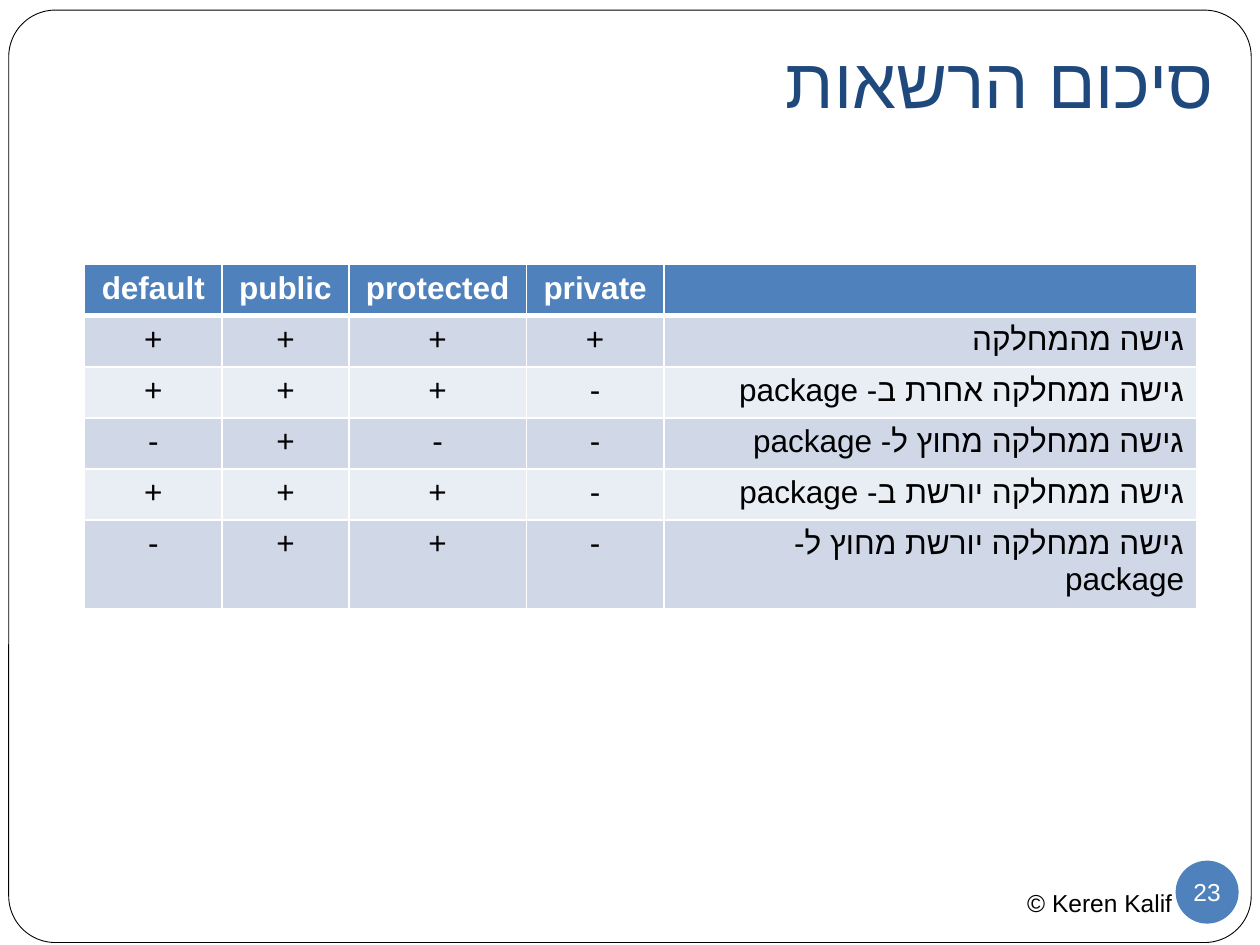
from lxml import etree
from pptx import Presentation
from pptx import util as u
from pptx.dml.color import RGBColor
from pptx.enum import shapes, text
from pptx.oxml.ns import qn

Pt = u.Pt
FONT = "Arial"
COLORS = {
    "white": "FFFFFF",
    "black": "000000",
    "title": "1F497D",
    "accent": "4F81BD",
    "odd_row": "D0D8E8",
    "even_row": "E9EDF4",
}
HEADER = ["default", "public", "protected", "private", ""]
ACCESS_ROWS = [
    ["+", "+", "+", "+", "גישה מהמחלקה"],
    ["+", "+", "+", "-", "גישה ממחלקה אחרת ב- package"],
    ["-", "+", "-", "-", "גישה ממחלקה מחוץ ל- package"],
    ["+", "+", "+", "-", "גישה ממחלקה יורשת ב- package"],
    ["-", "+", "+", "-", "גישה ממחלקה יורשת מחוץ ל- package"],
]
COLUMN_WIDTHS = [78.5, 72.5, 101.5, 78.5, 304.5]
ROW_HEIGHT = 29.2


def color(name):
    return RGBColor.from_string(COLORS[name])


def set_attributes(target, values):
    for name, value in values.items():
        setattr(target, name, value)


def write(frame, content, size, color_name, align, bold=False, rtl=True):
    paragraph = frame.paragraphs[0]
    paragraph.alignment = align
    if rtl:
        paragraph._p.get_or_add_pPr().set("rtl", "1")
    if not content:
        return
    run = paragraph.add_run()
    run.text = content
    set_attributes(run.font, {"name": FONT, "size": Pt(size), "bold": bold})
    run.font.color.rgb = color(color_name)
    complex_font = etree.SubElement(run._r.get_or_add_rPr(), qn("a:cs"))
    complex_font.set("typeface", FONT)


def add_filled_shape(slide, kind, box, fill, line=None):
    shape = slide.shapes.add_shape(kind, *map(Pt, box))
    shape.shadow.inherit = False
    shape.fill.solid()
    shape.fill.fore_color.rgb = color(fill)
    if line:
        shape.line.color.rgb = color(line)
        shape.line.width = Pt(0.5)
    else:
        shape.line.fill.background()
    return shape


def add_frame(slide):
    """Rounded page border, placed behind everything else."""
    frame = add_filled_shape(slide, shapes.MSO_SHAPE.ROUNDED_RECTANGLE,
                             (5, 5.8, 710, 532.8), "white", "black")
    frame.adjustments[0] = 0.05
    slide.shapes._spTree.insert(2, frame._element)


def add_title(slide, content):
    title = slide.shapes.title
    set_attributes(title, {"left": Pt(14.4), "top": Pt(21.6),
                           "width": Pt(686.2), "height": Pt(55.4)})
    set_attributes(title.text_frame, {
        "vertical_anchor": text.MSO_ANCHOR.BOTTOM, "word_wrap": True,
        "auto_size": text.MSO_AUTO_SIZE.NONE,
        "margin_left": Pt(7.2), "margin_right": Pt(7.2),
        "margin_top": Pt(3.6), "margin_bottom": Pt(7.2)})
    write(title.text_frame, content, 40, "title", text.PP_ALIGN.RIGHT)


def add_author(slide, content):
    box = slide.shapes.add_textbox(Pt(576), Pt(504), Pt(102.2), Pt(24.5))
    box.text_frame.word_wrap = False
    write(box.text_frame, content, 14, "black", text.PP_ALIGN.LEFT, rtl=False)


def set_borders(cell, widths):
    """Draw white borders; widths maps lnL, lnR, lnT, lnB to points."""
    properties = cell._tc.get_or_add_tcPr()
    for position, (side, width) in enumerate(widths.items()):
        line = etree.Element(qn(f"a:{side}"), w=str(Pt(width)))
        fill = etree.SubElement(line, qn("a:solidFill"))
        etree.SubElement(fill, qn("a:srgbClr"), val=COLORS["white"])
        properties.insert(position, line)


def add_access_table(slide):
    rows = [HEADER] + ACCESS_ROWS
    table = slide.shapes.add_table(
        len(rows), len(HEADER), Pt(48.4), Pt(151.2),
        Pt(sum(COLUMN_WIDTHS)), Pt(ROW_HEIGHT * len(rows))).table
    for column, width in zip(table.columns, COLUMN_WIDTHS):
        column.width = Pt(width)
    for index, values in enumerate(rows):
        table.rows[index].height = Pt(ROW_HEIGHT)
        header = index == 0
        fill = "accent" if header else "odd_row" if index % 2 else "even_row"
        for column, content in enumerate(values):
            cell = table.cell(index, column)
            cell.fill.solid()
            cell.fill.fore_color.rgb = color(fill)
            set_borders(cell, {"lnL": 1, "lnR": 1,
                               "lnT": 3 if index == 1 else 1,
                               "lnB": 3 if header else 1})
            last = column == len(HEADER) - 1
            align = text.PP_ALIGN.RIGHT if last else text.PP_ALIGN.CENTER
            write(cell.text_frame, content, 18,
                  "white" if header else "black", align, bold=header)


def add_page_number(slide, number):
    badge = add_filled_shape(slide, shapes.MSO_SHAPE.OVAL,
                             (671.8, 491.8, 36, 36), "accent")
    set_attributes(badge.text_frame, {
        "vertical_anchor": text.MSO_ANCHOR.MIDDLE, "word_wrap": False,
        "margin_left": 0, "margin_right": 0,
        "margin_top": 0, "margin_bottom": 0})
    write(badge.text_frame, number, 14, "white", text.PP_ALIGN.CENTER)


def main():
    presentation = Presentation()
    set_attributes(presentation, {"slide_width": Pt(720),
                                  "slide_height": Pt(540)})
    slide = presentation.slides.add_slide(presentation.slide_layouts[5])
    add_frame(slide)
    add_author(slide, " © Keren Kalif")
    add_title(slide, "סיכום הרשאות")
    add_access_table(slide)
    add_page_number(slide, "23")
    presentation.save("out.pptx")


if __name__ == "__main__":
    main()
